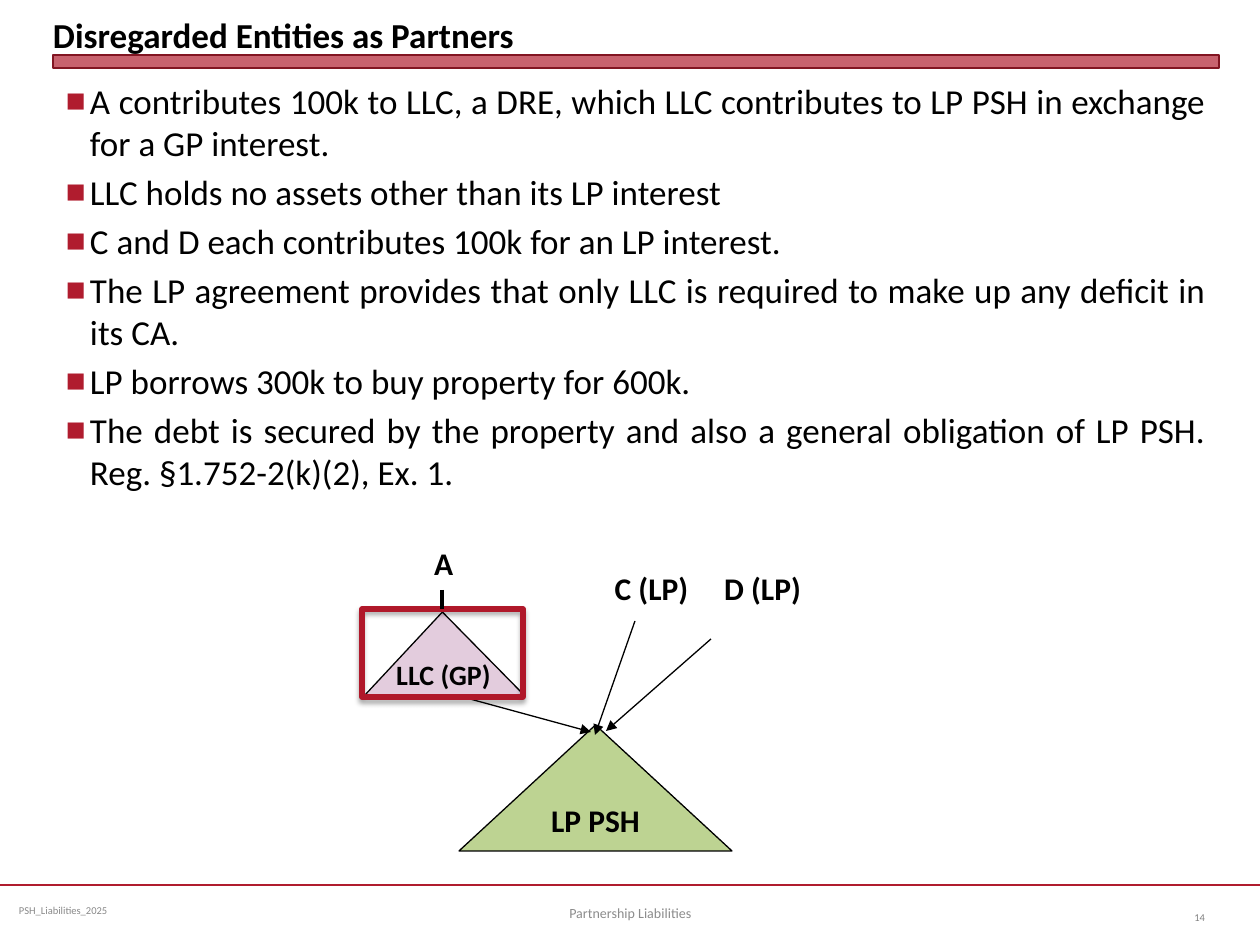
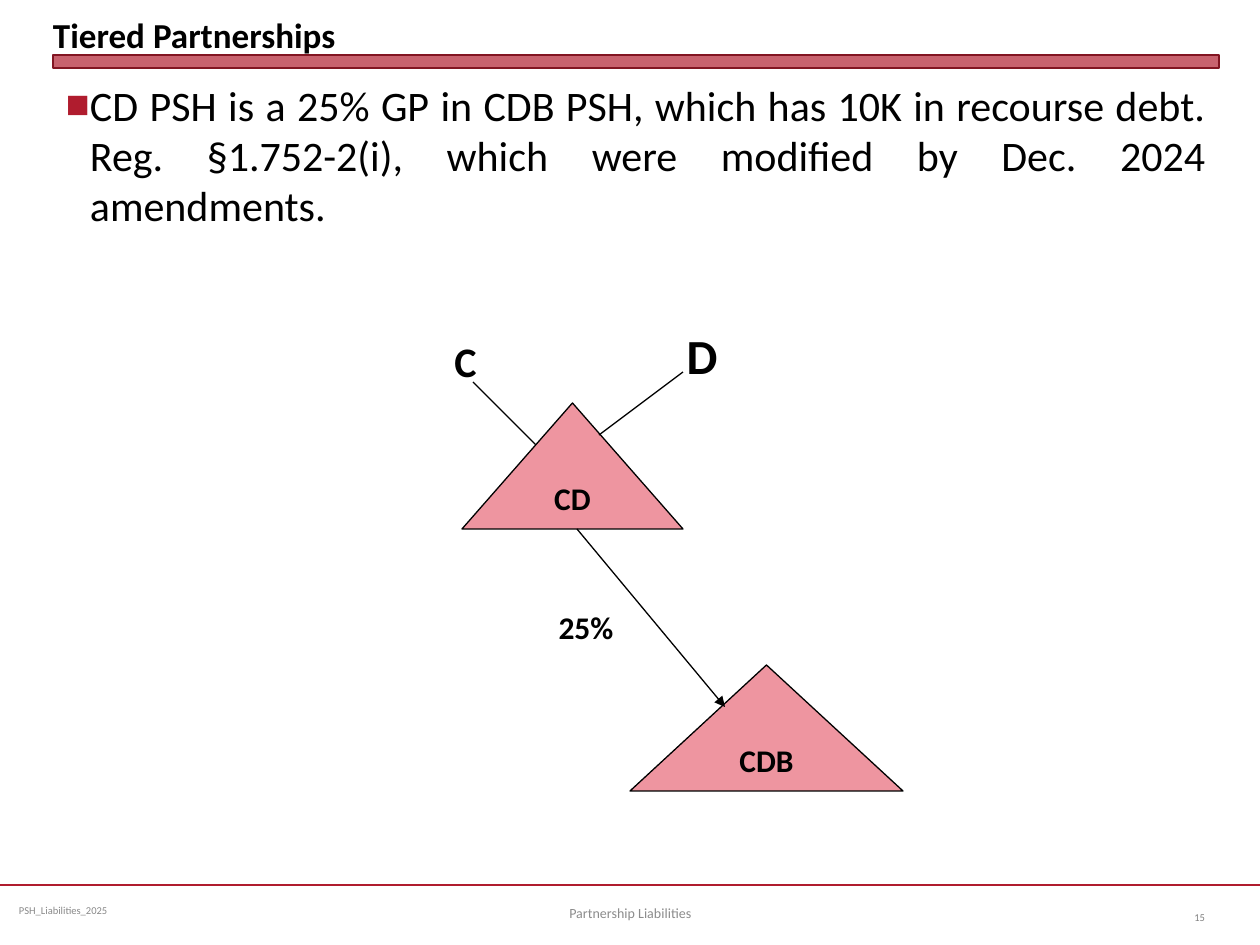
from dataclasses import dataclass

from lxml import etree
from pptx import Presentation
from pptx.dml.color import RGBColor
from pptx.enum.shapes import MSO_CONNECTOR, MSO_SHAPE
from pptx.enum.text import MSO_ANCHOR, PP_ALIGN
from pptx.oxml.ns import qn
from pptx.util import Emu, Pt

RECT, TRIANGLE = MSO_SHAPE.RECTANGLE, MSO_SHAPE.ISOSCELES_TRIANGLE
STRAIGHT = MSO_CONNECTOR.STRAIGHT
TOP, MIDDLE, BOTTOM = MSO_ANCHOR.TOP, MSO_ANCHOR.MIDDLE, MSO_ANCHOR.BOTTOM
LEFT, CENTER, RIGHT, JUSTIFY = PP_ALIGN.LEFT, PP_ALIGN.CENTER, PP_ALIGN.RIGHT, PP_ALIGN.JUSTIFY


@dataclass(frozen=True)
class Theme:
    """Colours, font and type sizes shared by the slides."""
    font: str = "Calibri"
    ink: str = "000000"
    red: str = "B01C2E"
    band_edge: str = "821522"
    frame: str = "B0182A"
    lilac: str = "E3CCDD"
    green: str = "BDD392"
    pink: str = "EE95A0"
    file_grey: str = "898989"
    number_grey: str = "808080"
    footer_grey: str = "8C8C8C"
    title: int = 20
    label: int = 18
    small_label: int = 16
    footer: int = 8
    tiny: int = 6
    thin: float = 0.75
    rule: float = 1.25
    thick: float = 2.25
    frame_width: int = 3


T = Theme()
PX_PER_INCH = 126
WIDTH, HEIGHT = 1260, 945
MARGIN, CONTENT_W = 53, 1166
RULE_Y = 885
BULLET_INDENT = 24
INSETS = (13, 6, 13, 6)
FILE_NAME = "PSH_Liabilities_2025"
FOOTER = "Partnership Liabilities"

SLIDES = [
    dict(
        number=14,
        title="Disregarded Entities as Partners",
        body_size=20,
        bullets=[
            "A contributes 100k to LLC, a DRE, which LLC contributes to LP PSH in exchange for a GP interest.",
            "LLC holds no assets other than its LP interest",
            "C and D each contributes 100k for an LP interest.",
            "The LP agreement provides that only LLC is required to make up any deficit in its CA.",
            "LP borrows 300k to buy property for 600k.",
            "The debt is secured by the property and also a general obligation of LP PSH. Reg. §1.752-2(k)(2), Ex. 1.",
        ],
        triangles=[
            ("LLC (GP)", (365, 612, 159, 83), T.lilac, T.small_label, 0.487),
            ("LP PSH", (459, 725, 273, 126), T.green, T.label, 0.5),
        ],
        arrows=[
            ((459, 696), (591, 732)),
            ((635, 621), (595, 735)),
            ((711, 639), (606, 731)),
        ],
        frames=[(362, 609, 161, 88)],
        ties=[((442, 590), (442, 609), T.thick)],
        labels=[
            ("A", (421, 538, 44, 50), T.label),
            ("C (LP)", (590, 563, 123, 50), T.label),
            ("D (LP)", (704, 563, 117, 50), T.label),
        ],
    ),
    dict(
        number=15,
        title="Tiered Partnerships",
        body_size=24,
        bullets=[
            "CD PSH is a 25% GP in CDB PSH, which has 10K in recourse debt. "
            "Reg. §1.752-2(i), which were modified by Dec. 2024 amendments.",
        ],
        triangles=[
            ("CD", (462, 403, 221, 126), T.pink, T.label, 0.5),
            ("CDB", (630, 665, 273, 126), T.pink, T.label, 0.5),
        ],
        arrows=[((577, 529), (725, 707))],
        frames=[],
        ties=[
            ((473, 382), (536, 445), T.thin),
            ((683, 372), (599, 435), T.thin),
        ],
        labels=[
            ("25%", (542, 602, 88, 50), T.label),
            ("C", (420, 329, 91, 63), 24),
            ("D", (672, 319, 60, 72), 28),
        ],
    ),
]


def px(n):
    """Turn px into EMU."""
    return Emu(round(n * 914400 / PX_PER_INCH))


def rgb(code):
    """Turn a hex code into a colour."""
    return RGBColor.from_string(code)


def sub(parent, tag, **attrs):
    """Append a drawing element and return it."""
    return etree.SubElement(parent, qn("a:" + tag), {k: str(v) for k, v in attrs.items()})


def add_bullet(p):
    """Give a paragraph a hanging red square."""
    pPr = p._p.get_or_add_pPr()
    pPr.set("marL", str(px(BULLET_INDENT)))
    pPr.set("indent", str(-px(BULLET_INDENT)))
    sub(sub(pPr, "buClr"), "srgbClr", val=T.red)
    sub(pPr, "buSzPct", val=60000)
    sub(pPr, "buFont", typeface=T.font)
    sub(pPr, "buChar", char="■")


def write(sp, *lines, size=T.label, color=T.ink, bold=False, align=CENTER,
          anchor=MIDDLE, insets=INSETS, wrap=True, bullets=False):
    """Fill a shape with formatted paragraphs."""
    tf = sp.text_frame
    tf.word_wrap = wrap
    tf.vertical_anchor = anchor
    tf.margin_left, tf.margin_top, tf.margin_right, tf.margin_bottom = map(px, insets)
    for i, line in enumerate(lines):
        p = tf.add_paragraph() if i else tf.paragraphs[0]
        if bullets:
            add_bullet(p)
        p.alignment = align
        if i:
            p.space_before = Pt(size * 0.2)
        r = p.add_run()
        r.text = line
        r.font.name, r.font.size, r.font.bold = T.font, Pt(size), bold
        r.font.color.rgb = rgb(color)


def add_text(s, box, *lines, **fmt):
    """Add a text box."""
    write(s.shapes.add_textbox(*map(px, box)), *lines, **fmt)


def add_preset(s, kind, box, fill=None, line=T.ink, width=T.thin):
    """Add a flat preset shape."""
    sp = s.shapes.add_shape(kind, *map(px, box))
    sp.shadow.inherit = False
    if fill:
        sp.fill.solid()
        sp.fill.fore_color.rgb = rgb(fill)
    else:
        sp.fill.background()
    sp.line.color.rgb = rgb(line)
    sp.line.width = Pt(width)
    return sp


def add_line(s, start, end, color=T.ink, width=T.thin, arrow=False):
    """Add a straight line, with an arrowhead if asked."""
    c = s.shapes.add_connector(STRAIGHT, *map(px, start + end))
    c.line.color.rgb = rgb(color)
    c.line.width = Pt(width)
    if arrow:
        sub(c.line._get_or_add_ln(), "tailEnd", type="triangle")
    sub(c._element.spPr, "effectLst")


def add_frame(s, box):
    """Add a hollow red frame with a soft shadow."""
    sp = add_preset(s, RECT, box, line=T.frame, width=T.frame_width)
    effects = sp._element.spPr.find(qn("a:effectLst"))
    shadow = sub(effects, "outerShdw", blurRad=Pt(3.1), dist=Pt(1.8), dir=5400000, rotWithShape=0)
    sub(sub(shadow, "srgbClr", val=T.ink), "alpha", val=35000)


def add_chrome(s, title, number):
    """Add the title, band, rule and footers."""
    add_line(s, (0, RULE_Y), (WIDTH, RULE_Y), color=T.red, width=T.rule)
    band = add_preset(s, RECT, (MARGIN, 55, CONTENT_W, 13), fill=T.red, line=T.band_edge, width=0)
    sub(band._element.spPr.find(qn("a:solidFill"))[0], "alpha", val=69000)
    add_text(s, (MARGIN, 6, CONTENT_W, 50), title, size=T.title, bold=True,
             align=LEFT, anchor=BOTTOM, insets=(0, 0, 0, 0))
    add_text(s, (10, 885, 325, 50), FILE_NAME, size=T.tiny, color=T.file_grey,
             align=LEFT, insets=(9, 5, 9, 5))
    add_text(s, (431, 888, 399, 50), FOOTER, size=T.footer, color=T.footer_grey)
    add_text(s, (1155, 892, 63, 50), str(number), size=T.tiny, color=T.number_grey, align=RIGHT)


def build_slide(prs, data):
    """Build one slide: chrome, bullets, then the ownership diagram."""
    s = prs.slides.add_slide(prs.slide_layouts[6])
    add_chrome(s, data["title"], data["number"])
    add_text(s, (MARGIN, 73, CONTENT_W, 801), *data["bullets"], size=data["body_size"],
             align=JUSTIFY, anchor=TOP, bullets=True)
    for name, box, fill, size, apex in data["triangles"]:
        sp = add_preset(s, TRIANGLE, box, fill=fill)
        sp.adjustments[0] = apex
        write(sp, name, size=size, bold=True, wrap=False)
    for start, end in data["arrows"]:
        add_line(s, start, end, arrow=True)
    for box in data["frames"]:
        add_frame(s, box)
    for start, end, width in data["ties"]:
        add_line(s, start, end, width=width)
    for name, box, size in data["labels"]:
        add_text(s, box, name, size=size, bold=True)


def main():
    """Build and save the deck."""
    prs = Presentation()
    prs.slide_width, prs.slide_height = px(WIDTH), px(HEIGHT)
    for data in SLIDES:
        build_slide(prs, data)
    prs.save("out.pptx")


if __name__ == "__main__":
    main()
